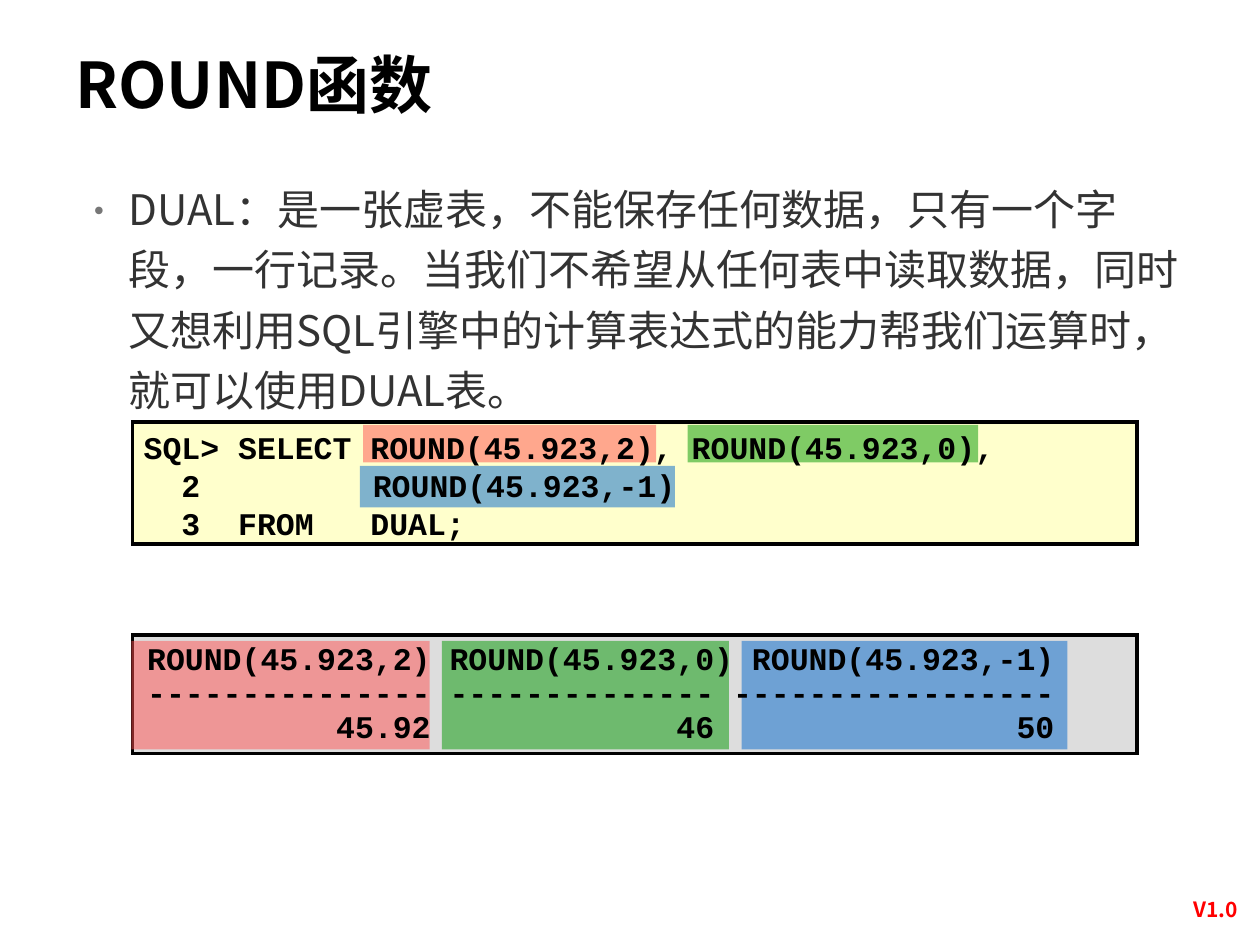
from dataclasses import dataclass

from lxml.etree import SubElement
from pptx import Presentation
from pptx.dml.color import RGBColor
from pptx.enum.shapes import MSO_SHAPE
from pptx.enum.text import MSO_ANCHOR, PP_ALIGN
from pptx.oxml.ns import qn
from pptx.util import Pt

HUES = {
    "black": "000000", "body": "333333", "bullet": "777777",
    "red": "FF0000", "query": "FFFFCC", "result": "DDDDDD",
    "pink": "FF5050", "green": "009900", "blue": "0066CC",
}
SANS, MONO = "Noto Sans CJK SC", "Courier New"
ROW_TOP, ROW_HIGH = 366.25, 62


@dataclass
class Box:
    left: float
    top: float
    width: float
    height: float


@dataclass
class Label:
    box: Box
    lines: list[str]
    size: float
    font: str = SANS
    hue: str = "black"
    bold: bool = True
    anchor: MSO_ANCHOR = MSO_ANCHOR.TOP
    align: PP_ALIGN = PP_ALIGN.LEFT
    space: float = 1.0
    tabs: tuple[float, ...] = ()


@dataclass
class Mark:
    hue: str
    call: Box
    left: float
    width: float


def color(name: str) -> RGBColor:
    return RGBColor.from_string(HUES[name])


def area(box: Box) -> tuple[Pt, ...]:
    return Pt(box.left), Pt(box.top), Pt(box.width), Pt(box.height)


def add_rect(shapes, box: Box, hue: str):
    rect = shapes.add_shape(MSO_SHAPE.RECTANGLE, *area(box))
    rect.shadow.inherit = False
    rect.fill.solid()
    rect.fill.fore_color.rgb = color(hue)
    return rect


def add_panel(shapes, box: Box, hue: str) -> None:
    rect = add_rect(shapes, box, hue)
    rect.line.color.rgb = color("black")
    rect.line.width = Pt(2)
    SubElement(rect.line._get_or_add_ln(), qn("a:miter"), lim="800000")


def add_mark(shapes, mark: Mark) -> None:
    """Tint a call in the query and its column in the result."""
    group = shapes.add_group_shape()
    for box in (Box(mark.left, ROW_TOP, mark.width, ROW_HIGH), mark.call):
        rect = add_rect(group.shapes, box, mark.hue)
        rect.line.fill.background()
        tint = rect.fill._xPr.find(qn("a:solidFill"))[0]
        SubElement(tint, qn("a:alpha"), val="50000")


def add_label(shapes, label: Label):
    frame = shapes.add_textbox(*area(label.box)).text_frame
    frame.word_wrap = True
    frame.vertical_anchor = label.anchor
    frame.text = "\n".join(label.lines)
    for para in frame.paragraphs:
        para.alignment = label.align
        para.line_spacing = label.space
        if label.tabs:
            stops = SubElement(para._p.get_or_add_pPr(), qn("a:tabLst"))
            for stop in label.tabs:
                SubElement(stops, qn("a:tab"), pos=str(Pt(stop)), algn="l")
        for run in para.runs:
            font = run.font
            font.name, font.size, font.bold = label.font, Pt(label.size), label.bold
            font.color.rgb = color(label.hue)
            SubElement(font._element, qn("a:ea"), typeface=label.font)
    return frame


def add_bullet(para, indent: float) -> None:
    props = para._p.get_or_add_pPr()
    props.set("marL", str(Pt(indent)))
    props.set("indent", str(-Pt(indent)))
    props.set("hangingPunct", "0")
    tint = SubElement(props, qn("a:buClr"))
    SubElement(tint, qn("a:srgbClr"), val=HUES["bullet"])
    SubElement(props, qn("a:buSzPct"), val="85000")
    SubElement(props, qn("a:buFont"), typeface=SANS)
    SubElement(props, qn("a:buChar"), char="•")


MARKS = [
    Mark("pink", Box(207.5, 242.75, 167.5, 21.5), 75, 170.5),
    Mark("green", Box(393, 242.75, 166, 21.5), 252.5, 164),
    Mark("blue", Box(205.75, 266.25, 180, 23.75), 423.75, 186.25),
]
VERSION = Label(Box(666, 509, 57, 21.5), ["V1.0"], 12, hue="red",
                align=PP_ALIGN.CENTER)
QUERY = Label(
    Box(75, 215, 576, 124.5),
    ["SQL> SELECT ROUND(45.923,2), ROUND(45.923,0),",
     "  2  \t\tROUND(45.923,-1)",
     "  3  FROM   DUAL;"],
    18, MONO, anchor=MSO_ANCHOR.MIDDLE, tabs=(94.5, 131))
RESULT = Label(
    Box(77, 364, 572, 67),
    ["ROUND(45.923,2) ROUND(45.923,0) ROUND(45.923,-1)",
     "--------------- -------------- -----------------",
     "          45.92             46                50"],
    18, MONO, space=0.9, tabs=(94.5,))
TITLE = Label(Box(36, 17, 574, 55.5), ["ROUND函数"], 36,
              anchor=MSO_ANCHOR.BOTTOM)
BODY = Label(
    Box(39.5, 95.5, 646.5, 147),
    ["DUAL：是一张虚表，不能保存任何数据，只有一个字段，一行记录。"
     "当我们不希望从任何表中读取数据，同时又想利用SQL引擎中的计算表达式的能力"
     "帮我们运算时，就可以使用DUAL表。"],
    24, hue="body", bold=False, space=1.2)


def main() -> None:
    deck = Presentation()
    deck.slide_width, deck.slide_height = Pt(720), Pt(540)
    shapes = deck.slides.add_slide(deck.slide_layouts[6]).shapes

    # Panels and tints
    add_panel(shapes, Box(75.75, 363, 574, 67.75), "result")
    add_panel(shapes, Box(75.75, 241.25, 574, 69.75), "query")
    for mark in MARKS:
        add_mark(shapes, mark)

    # Text
    for label in (VERSION, QUERY, RESULT, TITLE):
        add_label(shapes, label)
    body = add_label(shapes, BODY)
    add_bullet(body.paragraphs[0], 27)

    deck.save("out.pptx")


if __name__ == "__main__":
    main()
